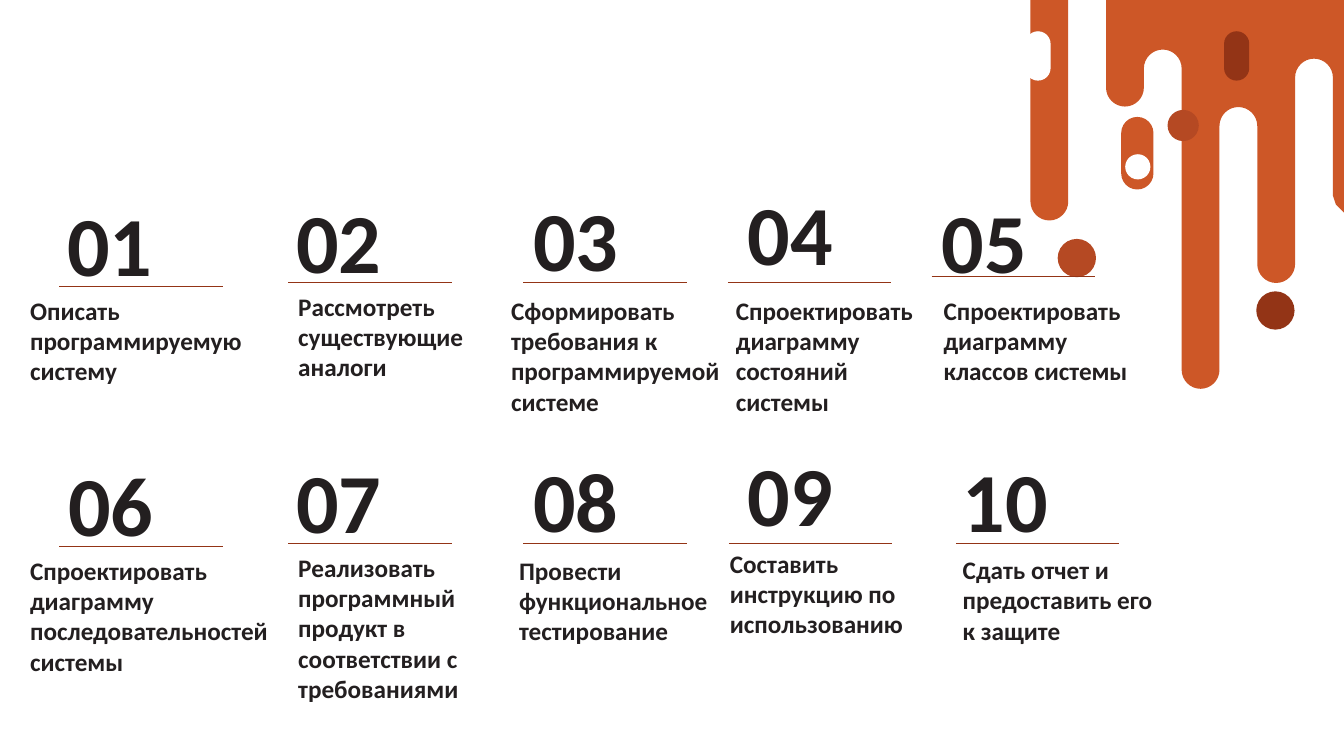
"""Build a slide with ten numbered project tasks and a dripping paint corner."""
from lxml.etree import SubElement
from pptx import Presentation
from pptx.dml.color import RGBColor
from pptx.enum.shapes import MSO_CONNECTOR, MSO_SHAPE
from pptx.enum.text import MSO_ANCHOR, MSO_AUTO_SIZE
from pptx.oxml.ns import qn
from pptx.util import Inches, Pt

ORANGE = RGBColor(0xCD, 0x57, 0x27)
RUST = RGBColor(0xB5, 0x49, 0x23)
BROWN = RGBColor(0x93, 0x34, 0x16)
WHITE = RGBColor(0xFF, 0xFF, 0xFF)
INK = RGBColor(0x23, 0x1F, 0x20)

DRIP_WIDTH = 0.375
END_POINTS = 7


def round_end(left, level, direction):
    radius = DRIP_WIDTH / 2
    shape = [(-1, 0), (-1, 0.55), (-0.55, 1), (0, 1), (0.55, 1), (1, 0.55), (1, 0)]
    return [(Inches(left + radius + radius * across),
             Inches(level + direction * radius * down)) for across, down in shape]


def add_text(page, place, text, size, frame_format):
    box = page.shapes.add_textbox(*map(Inches, place))
    box.text_frame.text = text
    for name, value in frame_format.items():
        setattr(box.text_frame, name, value)
    for para in box.text_frame.paragraphs:
        for span in para.runs:
            for name, value in {"name": "Calibri", "size": Pt(size), "bold": True}.items():
                setattr(span.font, name, value)
            span.font.color.rgb = INK


deck = Presentation()
deck.slide_width, deck.slide_height = Inches(13.33), Inches(7.5)
page = deck.slides.add_slide(deck.slide_layouts[6])

paint_left, single_left = 10.97, 10.22
levels = [0.87, 0.68, 3.67, 1.25, 2.62, 0.77]
paint_edge = []
for index, level in enumerate(levels):
    paint_edge += round_end(paint_left + index * DRIP_WIDTH, level, (-1) ** index)
paint_edge += [(Inches(x), Inches(y)) for x, y in
               [(13.22, 1.94), (13.25, 2.03), (13.33, 2.11), (13.33, 0)]]
outline = page.shapes.build_freeform(Inches(paint_left), 0)
outline.add_line_segments(paint_edge, close=True)
outline.move_to(Inches(single_left), 0)
outline.add_line_segments(
    round_end(single_left, 2, 1) + [(Inches(single_left + DRIP_WIDTH), 0)], close=True)
paint = outline.convert_to_shape()
paint.shadow.inherit = False
paint.fill.solid()
paint.fill.fore_color.rgb = ORANGE
paint.line.fill.background()

segments = list(paint.element.iter(qn("a:lnTo")))
end_starts = [index * END_POINTS for index in range(len(levels))] + [len(paint_edge)]
for end_start in end_starts:
    for first in (end_start + 1, end_start + 4):
        curve = segments[first]
        curve.tag = qn("a:cubicBezTo")
        for segment in segments[first + 1:first + 3]:
            curve.append(segment[0])
            segment.getparent().remove(segment)

drops = [
    (MSO_SHAPE.OVAL, (10.49, 2.37, 0.38, 0.38), RUST),
    (MSO_SHAPE.ROUNDED_RECTANGLE, (12.46, 2.89, 0.38, 0.38), BROWN),
    (MSO_SHAPE.ROUNDED_RECTANGLE, (11.12, 1.16, 0.32, 0.72), ORANGE),
    (MSO_SHAPE.OVAL, (11.58, 1.09, 0.31, 0.31), RUST),
    (MSO_SHAPE.ROUNDED_RECTANGLE, (12.14, 0.31, 0.25, 0.49), BROWN),
    (MSO_SHAPE.ROUNDED_RECTANGLE, (10.17, 0.31, 0.25, 0.49), WHITE),
    (MSO_SHAPE.OVAL, (11.16, 1.53, 0.25, 0.25), WHITE),
]
for kind, place, color in drops:
    drop = page.shapes.add_shape(kind, *map(Inches, place))
    if kind == MSO_SHAPE.ROUNDED_RECTANGLE:
        drop.adjustments[0] = 0.5
    drop.shadow.inherit = False
    drop.fill.solid()
    drop.fill.fore_color.rgb = color
    drop.line.fill.background()

number_format = {"word_wrap": False, "auto_size": MSO_AUTO_SIZE.SHAPE_TO_FIT_TEXT,
                 "vertical_anchor": MSO_ANCHOR.MIDDLE}
task_format = {"word_wrap": True, "auto_size": MSO_AUTO_SIZE.SHAPE_TO_FIT_TEXT}

tasks = [
    ((0.59, 2.84), (0.57, 1.85), (0.2, 2.88, 2.36, 1.01),
     "Описать программируемую систему"),
    ((2.86, 2.8), (2.84, 1.82), (2.86, 2.84, 1.93, 1.01),
     "Рассмотреть существующие аналоги"),
    ((5.19, 2.8), (5.19, 1.8), (4.97, 2.88, 2.35, 1.31),
     "Сформировать требования к\nпрограммируемой\nсистеме"),
    ((7.22, 2.8), (7.32, 1.75), (7.2, 2.88, 2.01, 1.31),
     "Спроектировать диаграмму состояний системы"),
    ((9.24, 2.74), (9.24, 1.82), (9.26, 2.88, 2.08, 1.01),
     "Спроектировать диаграмму классов системы"),
    ((0.59, 5.42), (0.58, 4.43), (0.2, 5.46, 2.65, 1.31),
     "Спроектировать диаграмму последовательностей системы"),
    ((2.86, 5.39), (2.84, 4.4), (2.86, 5.43, 1.93, 1.62),
     "Реализовать программный продукт в соответствии с требованиями"),
    ((5.19, 5.39), (5.19, 4.39), (5.05, 5.46, 2.16, 1.01),
     "Провести функциональное тестирование"),
    ((7.23, 5.39), (7.32, 4.33), (7.14, 5.39, 2.01, 1.01),
     "Составить инструкцию по использованию"),
    ((9.48, 5.39), (9.45, 4.39), (9.45, 5.45, 2.08, 1.01),
     "Сдать отчет и предоставить его к защите"),
]
for number, (rule_start, corner, place, wording) in enumerate(tasks, start=1):
    left, top = rule_start
    rule = page.shapes.add_connector(
        MSO_CONNECTOR.STRAIGHT, Inches(left), Inches(top), Inches(left + 1.62), Inches(top))
    rule.line.color.rgb = BROWN
    rule.line.width = Pt(0.5)
    SubElement(rule.element.spPr, qn("a:effectLst"))
    add_text(page, place, wording, 18, task_format)
    add_text(page, (*corner, 1.05, 1.11), f"{number:02d}", 60, number_format)

deck.save("out.pptx")
